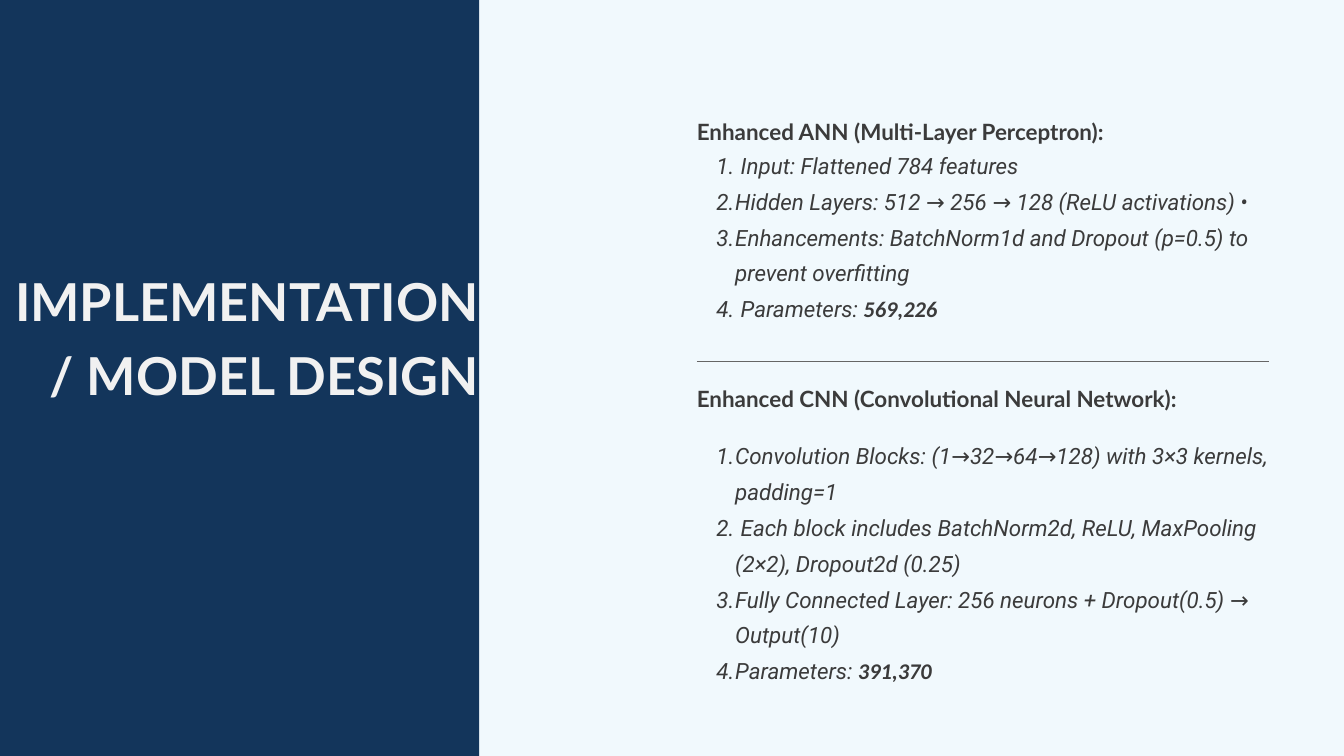
import pptx
import pptx.dml.color
import pptx.enum.shapes
import pptx.enum.text
import pptx.oxml.ns
import pptx.util
from lxml import etree
from pptx.util import Cm

WIDTH, HEIGHT = Cm(50.8), Cm(28.58)
PANEL_WIDTH = Cm(18.11)
LEFT, COLUMN = Cm(26.34), Cm(21.62)
INK = "3B3B3B"

MODELS = [
    {
        "heading": "Enhanced ANN (Multi-Layer Perceptron):",
        "heading_top": Cm(4.14),
        "list_top": Cm(5.41),
        "list_height": Cm(6.71),
        "items": [
            " Input: Flattened 784 features",
            "Hidden Layers: 512 → 256 → 128 (ReLU activations) •",
            "Enhancements: BatchNorm1d and Dropout (p=0.5) to prevent overfitting",
        ],
        "label": " Parameters: ",
        "count": "569,226",
    },
    {
        "heading": "Enhanced CNN (Convolutional Neural Network):",
        "heading_top": Cm(14.22),
        "list_top": Cm(16.38),
        "list_height": Cm(9.4),
        "items": [
            "Convolution Blocks: (1→32→64→128) with 3×3 kernels, padding=1",
            " Each block includes BatchNorm2d, ReLU, MaxPooling (2×2), Dropout2d (0.25)",
            "Fully Connected Layer: 256 neurons + Dropout(0.5) → Output(10)",
        ],
        "label": "Parameters: ",
        "count": "391,370",
    },
]


def color(value):
    return pptx.dml.color.RGBColor.from_string(value)


def paint(fill, value):
    fill.solid()
    fill.fore_color.rgb = color(value)


def add_span(para, text, name, size=24, ink=INK, bold=False, italic=False):
    span = para.add_run()
    span.text = text
    span.font.name = name
    span.font.size = pptx.util.Pt(size)
    span.font.bold = bold
    span.font.italic = italic
    span.font.color.rgb = color(ink)


def prepare_frame(frame):
    frame.word_wrap = True
    frame.auto_size = pptx.enum.text.MSO_AUTO_SIZE.NONE
    frame.vertical_anchor = pptx.enum.text.MSO_ANCHOR.TOP
    frame.margin_left = frame.margin_right = 0
    frame.margin_top = frame.margin_bottom = 0
    return frame


def add_frame(page, top, height):
    box = page.shapes.add_textbox(LEFT, top, COLUMN, height)
    return prepare_frame(box.text_frame)


def number_para(para):
    props = para._p.get_or_add_pPr()
    props.set("marL", str(Cm(1.45)))
    props.set("indent", str(-Cm(0.71)))
    bullet = etree.SubElement(props, pptx.oxml.ns.qn("a:buAutoNum"))
    bullet.set("type", "arabicPeriod")
    para.level = 1
    para.line_spacing = pptx.util.Pt(38.4)


def add_panel(page):
    panel = page.shapes.add_shape(
        pptx.enum.shapes.MSO_SHAPE.RECTANGLE, 0, 0, PANEL_WIDTH, HEIGHT)
    panel.shadow.inherit = False
    paint(panel.fill, "13355B")
    panel.line.fill.background()


def set_title(page, text):
    title = page.shapes.title
    title.left, title.top = 0, Cm(9.8)
    title.width, title.height = PANEL_WIDTH, Cm(5.44)
    para = prepare_frame(title.text_frame).paragraphs[0]
    para.alignment = pptx.enum.text.PP_ALIGN.RIGHT
    para.line_spacing = pptx.util.Pt(78.4)
    add_span(para, text, "Lato", size=56, ink="F1F1F1", bold=True)
    title.element.getparent().append(title.element)


def add_heading(page, text, top):
    para = add_frame(page, top, Cm(1.3)).paragraphs[0]
    para.line_spacing = pptx.util.Pt(38.4)
    add_span(para, text, "Lato", bold=True)


def add_numbered_list(page, model):
    frame = add_frame(page, model["list_top"], model["list_height"])
    for index, text in enumerate(model["items"] + [model["label"]]):
        para = frame.add_paragraph() if index else frame.paragraphs[0]
        number_para(para)
        add_span(para, text, "Roboto", italic=True)
    add_span(para, model["count"], "Calibri", bold=True, italic=True)


def add_divider(page, top):
    divider = page.shapes.add_connector(
        pptx.enum.shapes.MSO_CONNECTOR.STRAIGHT, LEFT, top, LEFT + COLUMN, top)
    divider.line.color.rgb = color("666666")
    divider.line.width = pptx.util.Pt(1.5)
    etree.SubElement(divider.element.spPr, pptx.oxml.ns.qn("a:effectLst"))


def main():
    deck = pptx.Presentation()
    deck.slide_width, deck.slide_height = WIDTH, HEIGHT
    page = deck.slides.add_slide(deck.slide_layouts[5])
    paint(page.background.fill, "F1F9FD")
    add_panel(page)
    set_title(page, "IMPLEMENTATION / MODEL DESIGN")
    for model in MODELS:
        add_heading(page, model["heading"], model["heading_top"])
        add_numbered_list(page, model)
    add_divider(page, Cm(13.67))
    deck.save("out.pptx")


if __name__ == "__main__":
    main()
